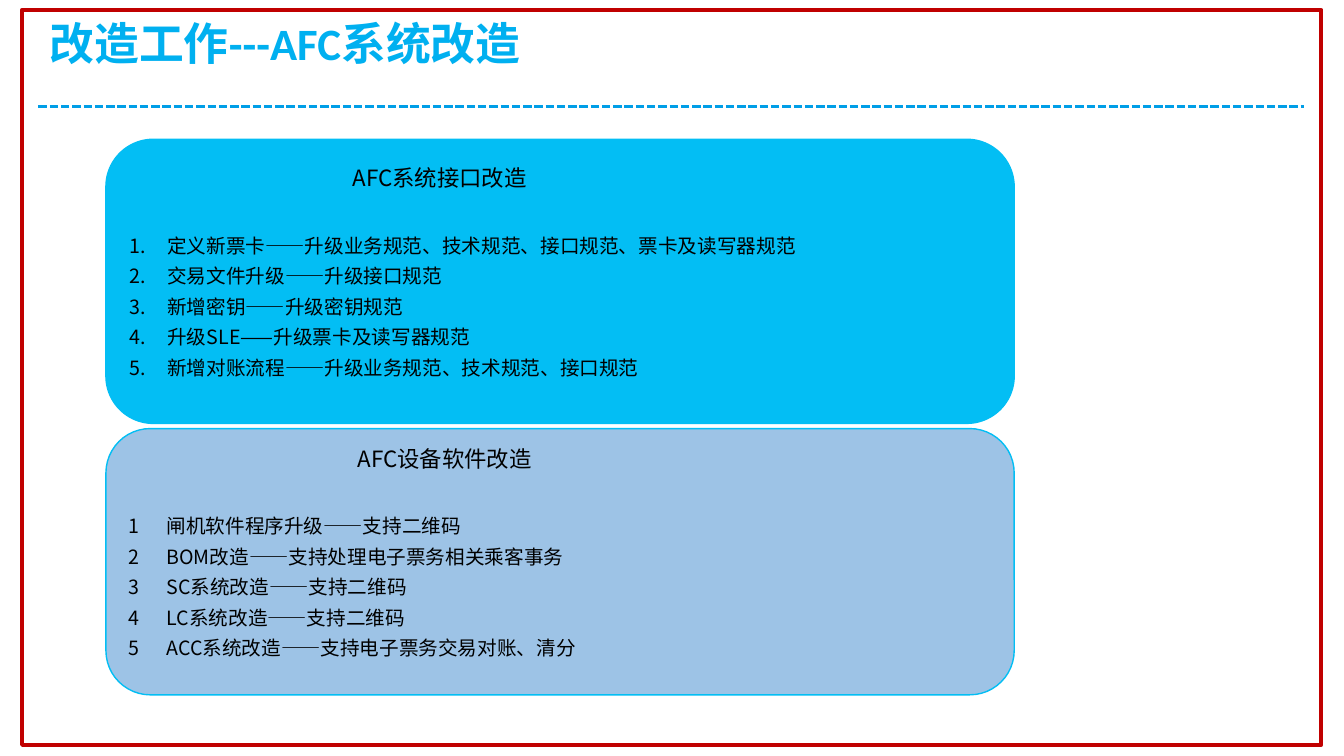
from dataclasses import dataclass

from lxml.etree import SubElement
from pptx import Presentation
from pptx.dml.color import RGBColor
from pptx.enum.dml import MSO_LINE_DASH_STYLE as Dash
from pptx.enum.shapes import MSO_CONNECTOR as Connector, MSO_SHAPE as Preset
from pptx.enum.text import MSO_ANCHOR as Anchor, PP_ALIGN as Align
from pptx.oxml.ns import qn
from pptx.slide import Slide
from pptx.text.text import _Paragraph as Paragraph
from pptx.util import Cm, Pt

WHITE = RGBColor(0xFF, 0xFF, 0xFF)
BLACK = RGBColor(0x00, 0x00, 0x00)
TITLE_BLUE = RGBColor(0x00, 0xB0, 0xF0)
RULE_BLUE = RGBColor(0x00, 0x9E, 0xE7)
PANEL_BLUE = RGBColor(0x03, 0xBE, 0xF4)
PALE_BLUE = RGBColor(0x9D, 0xC3, 0xE6)
FRAME_RED = RGBColor(0xC0, 0x00, 0x00)

TITLE_FONT = "Calibri"
BODY_FONT = "Noto Sans CJK SC"
PANEL_LEFT = 2.67
PANEL_WIDTH = 22.89
NUMBER_INDENT = 0.95


@dataclass(frozen=True)
class Panel:
    top: float
    height: float
    fill: RGBColor
    heading: str
    heading_indent: float
    numbering: str
    items: tuple[str, ...]


PANELS = (
    Panel(3.51, 7.16, PANEL_BLUE, "AFC系统接口改造", 5.62, "arabicPeriod", (
        "定义新票卡——升级业务规范、技术规范、接口规范、票卡及读写器规范",
        "交易文件升级——升级接口规范",
        "新增密钥——升级密钥规范",
        "升级SLE——升级票卡及读写器规范",
        "新增对账流程——升级业务规范、技术规范、接口规范",
    )),
    Panel(10.8, 6.71, PALE_BLUE, "AFC设备软件改造", 5.77, "arabicPlain", (
        "闸机软件程序升级——支持二维码",
        "BOM改造——支持处理电子票务相关乘客事务",
        "SC系统改造——支持二维码",
        "LC系统改造——支持二维码",
        "ACC系统改造——支持电子票务交易对账、清分",
    )),
)


def set_indent(paragraph: Paragraph, left: float, first: float = 0) -> None:
    properties = paragraph._p.get_or_add_pPr()
    properties.set("marL", str(Cm(left)))
    properties.set("indent", str(Cm(first)))


def add_run(paragraph: Paragraph, text: str, size: float, color: RGBColor,
            font: str = BODY_FONT, bold: bool = False) -> None:
    run = paragraph.add_run()
    run.text = text
    run.font.size = Pt(size)
    run.font.bold = bold
    run.font.name = font
    run.font.color.rgb = color
    east_asian = SubElement(run._r.get_or_add_rPr(), qn("a:ea"))
    east_asian.set("typeface", BODY_FONT)


def add_title(slide: Slide, text: str) -> None:
    title = slide.shapes.add_textbox(Cm(1.12), Cm(0.48), Cm(31.65), Cm(2.24))
    frame = title.text_frame
    frame.word_wrap = True
    frame.margin_left = frame.margin_right = Cm(0.13)
    frame.margin_top = frame.margin_bottom = Cm(0.08)
    paragraph = frame.paragraphs[0]
    paragraph.line_spacing = 0.9
    add_run(paragraph, text, 32, TITLE_BLUE, TITLE_FONT, True)


def add_rule(slide: Slide) -> None:
    rule = slide.shapes.add_connector(
        Connector.STRAIGHT, Cm(0.97), Cm(2.69), Cm(32.87), Cm(2.69))
    rule.line.color.rgb = RULE_BLUE
    rule.line.width = Pt(2)
    rule.line.dash_style = Dash.SQUARE_DOT
    SubElement(rule._element.spPr, qn("a:effectLst"))


def add_panel(slide: Slide, panel: Panel) -> None:
    box = slide.shapes.add_shape(
        Preset.ROUNDED_RECTANGLE, Cm(PANEL_LEFT), Cm(panel.top),
        Cm(PANEL_WIDTH), Cm(panel.height))
    box.shadow.inherit = False
    box.fill.solid()
    box.fill.fore_color.rgb = panel.fill
    box.line.color.rgb = PANEL_BLUE
    box.line.width = Pt(1)

    frame = box.text_frame
    frame.word_wrap = True
    frame.vertical_anchor = Anchor.MIDDLE
    frame.margin_bottom = Cm(0.8)
    heading = frame.paragraphs[0]
    heading.alignment = Align.LEFT
    heading.line_spacing = 1.3
    heading.space_after = Pt(25)
    set_indent(heading, panel.heading_indent)
    add_run(heading, panel.heading, 16, BLACK)

    for text in panel.items:
        item = frame.add_paragraph()
        item.alignment = Align.LEFT
        item.line_spacing = 1.3
        set_indent(item, NUMBER_INDENT, -NUMBER_INDENT)
        number = SubElement(item._p.get_or_add_pPr(), qn("a:buAutoNum"))
        number.set("type", panel.numbering)
        add_run(item, text, 14, BLACK)


def add_frame(slide: Slide) -> None:
    border = slide.shapes.add_shape(
        Preset.RECTANGLE, Cm(0.56), Cm(0.25), Cm(32.74), Cm(18.52))
    border.shadow.inherit = False
    border.fill.background()
    border.line.color.rgb = FRAME_RED
    border.line.width = Pt(3)


def main() -> None:
    presentation = Presentation()
    presentation.slide_width = Cm(33.87)
    presentation.slide_height = Cm(19.05)
    slide = presentation.slides.add_slide(presentation.slide_layouts[6])
    slide.background.fill.solid()
    slide.background.fill.fore_color.rgb = WHITE

    add_rule(slide)
    add_title(slide, "改造工作---AFC系统改造")
    for panel in PANELS:
        add_panel(slide, panel)
    add_frame(slide)
    presentation.save("out.pptx")


if __name__ == "__main__":
    main()
